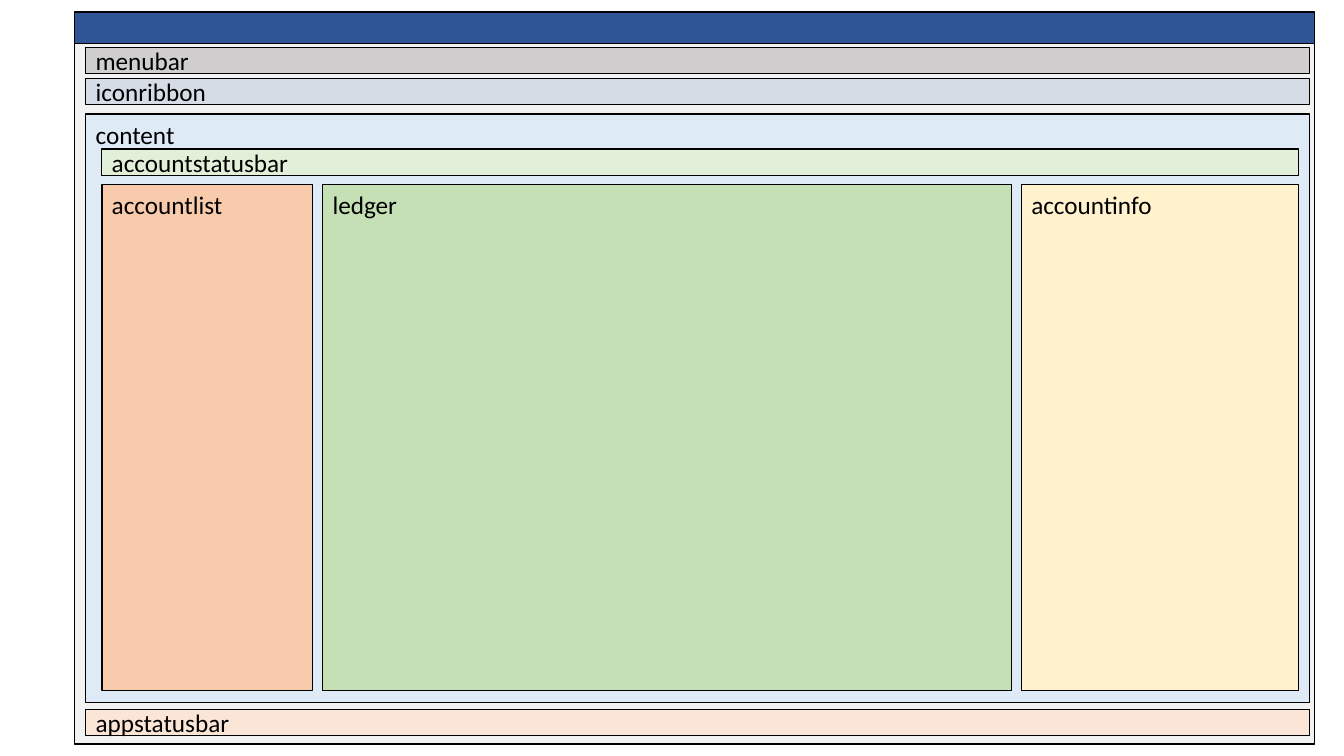
from collections import namedtuple

from pptx import Presentation
from pptx.dml.color import RGBColor
from pptx.enum.shapes import MSO_SHAPE
from pptx.enum.text import MSO_ANCHOR, PP_ALIGN
from pptx.util import Inches, Pt

RECTANGLE = MSO_SHAPE.RECTANGLE
TOP, MIDDLE = MSO_ANCHOR.TOP, MSO_ANCHOR.MIDDLE
LEFT = PP_ALIGN.LEFT

BLACK = RGBColor(0x00, 0x00, 0x00)
WINDOW_GRAY = RGBColor(0xF2, 0xF2, 0xF2)
TITLE_BLUE = RGBColor(0x2F, 0x55, 0x97)
MENU_GRAY = RGBColor(0xD0, 0xCE, 0xCE)
RIBBON_GRAY = RGBColor(0xD6, 0xDC, 0xE5)
CONTENT_BLUE = RGBColor(0xDE, 0xEB, 0xF7)
STATUS_PEACH = RGBColor(0xFB, 0xE5, 0xD6)
STATUS_GREEN = RGBColor(0xE2, 0xF0, 0xD9)
LIST_ORANGE = RGBColor(0xF8, 0xCB, 0xAD)
LEDGER_GREEN = RGBColor(0xC5, 0xE0, 0xB4)
INFO_YELLOW = RGBColor(0xFF, 0xF2, 0xCC)

# Lengths in inches
Box = namedtuple("Box", "left top width height")
WINDOW = Box(0.74, 0.12, 12.3, 7.26)
TITLE_HEIGHT = 0.3
BAR_HEIGHT = 0.26
GAP = 0.1


def add_panel(slide, box, fill, label="", anchor=TOP):
    shape = slide.shapes.add_shape(RECTANGLE, *(Inches(length) for length in box))
    shape.shadow.inherit = False
    shape.fill.solid()
    shape.fill.fore_color.rgb = fill
    shape.line.color.rgb = BLACK
    shape.line.width = Pt(1)
    if label:
        text_frame = shape.text_frame
        text_frame.text = label
        text_frame.vertical_anchor = anchor
        paragraph = text_frame.paragraphs[0]
        paragraph.alignment = LEFT
        font = paragraph.runs[0].font
        font.name = "Calibri"
        font.size = Pt(18)
        font.color.rgb = BLACK


def add_bar(slide, box, offset, fill, label):
    """Full-width bar, offset down from the top of the box."""
    bar = Box(box.left, box.top + offset, box.width, BAR_HEIGHT)
    add_panel(slide, bar, fill, label, MIDDLE)


def add_content(slide, box):
    """Content area: a status bar above three columns."""
    add_panel(slide, box, CONTENT_BLUE, "content")
    inner = Box(box.left + 0.16, box.top + 0.35, box.width - 0.27, box.height - 0.47)
    add_bar(slide, inner, 0, STATUS_GREEN, "accountstatusbar")

    columns = [
        ("accountlist", 2.09, LIST_ORANGE),
        ("ledger", 6.83, LEDGER_GREEN),
        ("accountinfo", 2.75, INFO_YELLOW),
    ]
    column_offset = BAR_HEIGHT + 0.09
    left = inner.left
    for label, width, fill in columns:
        column = Box(left, inner.top + column_offset, width, inner.height - column_offset)
        add_panel(slide, column, fill, label)
        left += width + GAP


def add_window(slide, box):
    """Application window: frame, title bar, bars and content."""
    body = Box(box.left, box.top + TITLE_HEIGHT, box.width, box.height - TITLE_HEIGHT)
    add_panel(slide, body, WINDOW_GRAY)
    add_panel(slide, box._replace(height=TITLE_HEIGHT + 0.01), TITLE_BLUE)

    inner = Box(body.left + 0.11, body.top + 0.05, body.width - 0.16, body.height - 0.13)
    add_bar(slide, inner, 0, MENU_GRAY, "menubar")
    add_bar(slide, inner, BAR_HEIGHT + 0.05, RIBBON_GRAY, "iconribbon")
    add_content(slide, inner._replace(top=inner.top + 0.66, height=5.84))
    add_bar(slide, inner, inner.height - BAR_HEIGHT, STATUS_PEACH, "appstatusbar")


def main():
    presentation = Presentation()
    presentation.slide_width = Inches(13.33)
    presentation.slide_height = Inches(7.5)
    slide = presentation.slides.add_slide(presentation.slide_layouts[6])
    add_window(slide, WINDOW)
    presentation.save("out.pptx")


if __name__ == "__main__":
    main()
